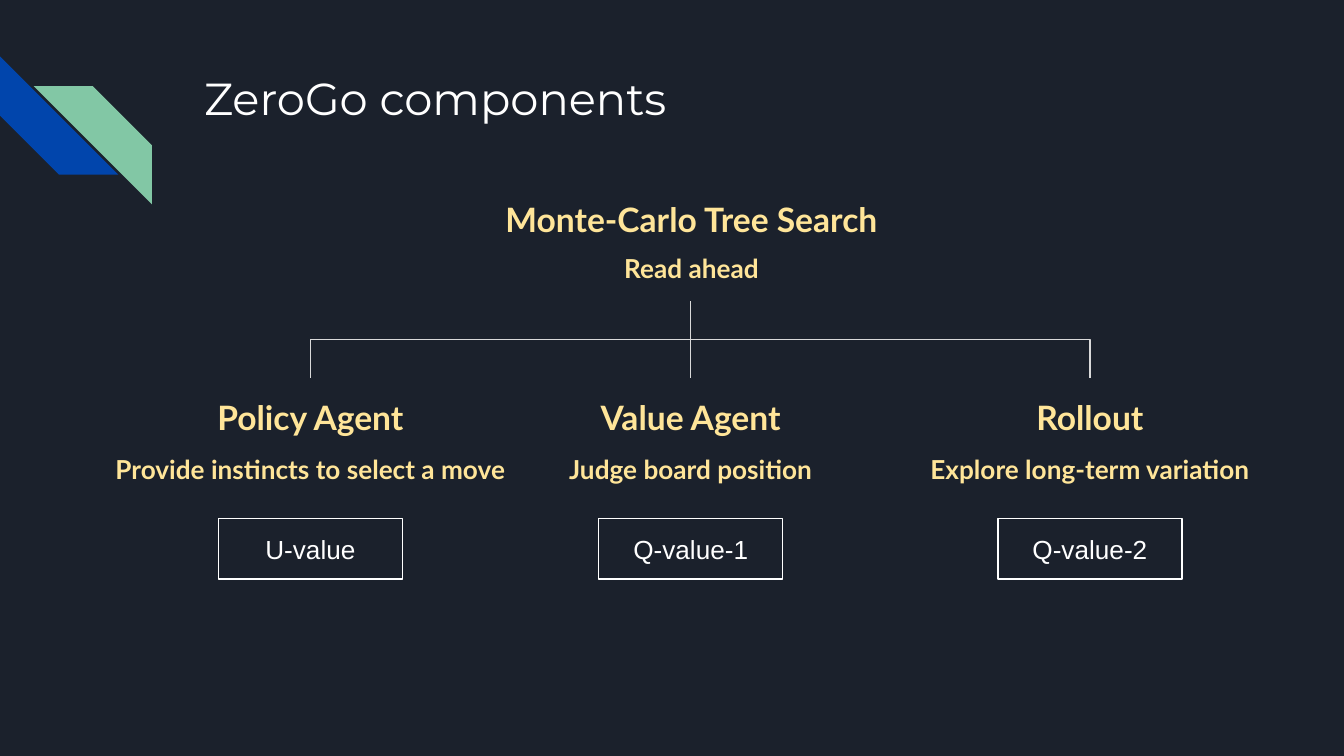
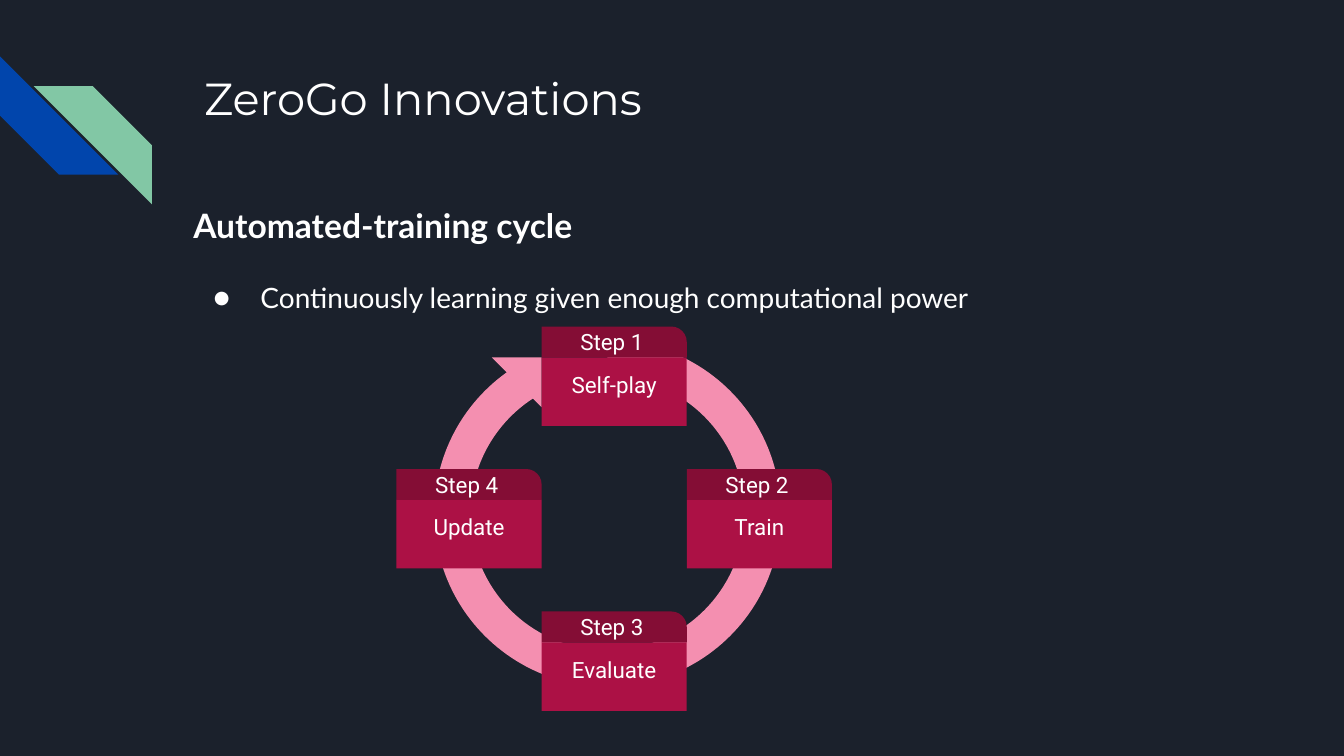
import pptx
import pptx.util
import pptx.dml.color
import pptx.enum.shapes
import pptx.enum.text
import pptx.oxml
import pptx.oxml.ns
from lxml import etree

Inches, Pt = pptx.util.Inches, pptx.util.Pt
qn = pptx.oxml.ns.qn
SHAPE = pptx.enum.shapes.MSO_SHAPE
ELBOW = pptx.enum.shapes.MSO_CONNECTOR.ELBOW
ALIGN = pptx.enum.text.PP_ALIGN
ANCHOR = pptx.enum.text.MSO_ANCHOR

# Shared look
COLORS = {
    "background": "1B212C", "white": "FFFFFF", "heading": "FFE599",
    "branch": "D9D9D9", "blue": "0145AC", "green": "82C7A5",
    "ring": "F48FB0", "card": "AC1145", "tab": "840D35",
}
SLIDE_W = Inches(10)
SLIDE_H = SLIDE_W * 9 // 16

# Content: the component tree
COMPONENTS_TITLE = "ZeroGo components"
SEARCH = ("Monte-Carlo Tree Search", "Read ahead")
SEARCH_BOX = (2.9, 1.51, 4.49, 0.73)
AGENTS = [  # name, role, output, centre, text width, text height
    ("Policy Agent", "Provide instincts to select a move", "U-value", 2.31, 3.48, 1.5),
    ("Value Agent", "Judge board position", "Q-value-1", 5.14, 2.26, 1.15),
    ("Rollout", "Explore long-term variation", "Q-value-2", 8.11, 3.77, 1.37),
]
AGENT_TOP, OUTPUT_TOP = 2.81, 3.86
OUTPUT_W, OUTPUT_H = 1.37, 0.45

# Content: the training cycle
INNOVATIONS_TITLE = "ZeroGo Innovations"
CYCLE_HEADING = "Automated-training cycle"
CYCLE_POINT = "Continuously learning given enough computational power"
STEPS = [  # name, column and row offset from the cycle's centre
    ("Self-play", 0, -1), ("Train", 1, 0), ("Evaluate", 0, 1), ("Update", -1, 0),
]
CYCLE_LEFT, CYCLE_TOP = 4.03, 3.49
STEP_W, TAB_H, CARD_H, ROW_PITCH = 1.08, 0.23, 0.51, 1.06


def rgb(name):
    return pptx.dml.color.RGBColor.from_string(COLORS[name])


def write(frame, text, size=14, font="Lato", color="white", bold=False,
          align=ALIGN.LEFT, spacing=None, before=None, after=None, bullet=None):
    """Add one formatted paragraph to a text frame."""
    paragraph = frame.paragraphs[0] if not frame.text else frame.add_paragraph()
    if bullet:
        props = paragraph._p.get_or_add_pPr()
        props.set("marL", str(Inches(0.5)))
        props.set("indent", str(Inches(-0.35)))
        tint = etree.SubElement(props, qn("a:buClr"))
        etree.SubElement(tint, qn("a:srgbClr"), val=COLORS[color])
        etree.SubElement(props, qn("a:buFont"), typeface=font)
        etree.SubElement(props, qn("a:buChar"), char=bullet)
    paragraph.alignment = align
    if spacing:
        paragraph.line_spacing = spacing
    if before is not None:
        paragraph.space_before = Pt(before)
    if after is not None:
        paragraph.space_after = Pt(after)
    run = paragraph.add_run()
    run.text = text
    run.font.size, run.font.name, run.font.bold = Pt(size), font, bold
    run.font.color.rgb = rgb(color)


def pad(frame, anchor):
    frame.word_wrap = True
    frame.vertical_anchor = anchor
    frame.margin_left = frame.margin_right = Inches(0.1)
    frame.margin_top = frame.margin_bottom = Inches(0.1)
    return frame


def add_text(slide, *box):
    area = slide.shapes.add_textbox(*map(Inches, box))
    return pad(area.text_frame, ANCHOR.TOP)


def add_shape(shapes, kind, box, fill=None, line=None, rotation=0, adjust=(),
              anchor=ANCHOR.MIDDLE):
    shape = shapes.add_shape(kind, *map(Inches, box))
    shape.shadow.inherit = False
    shape.rotation = rotation
    for index, value in enumerate(adjust):
        shape.adjustments[index] = value
    if fill:
        shape.fill.solid()
        shape.fill.fore_color.rgb = rgb(fill)
    else:
        shape.fill.background()
    if line:
        shape.line.color.rgb = rgb(line)
        shape.line.width = Pt(0.75)
    else:
        shape.line.fill.background()
    return pad(shape.text_frame, anchor)


def add_slide(deck, title, width, height):
    slide = deck.slides.add_slide(deck.slide_layouts[6])
    slide.background.fill.solid()
    slide.background.fill.fore_color.rgb = rgb("background")
    stripes = slide.shapes.add_group_shape().shapes
    add_shape(stripes, SHAPE.DIAGONAL_STRIPE, (0, 0.42, 0.88, 0.88), "blue", rotation=270)
    add_shape(stripes, SHAPE.DIAGONAL_STRIPE, (0.25, 0.64, 0.88, 0.88), "green", rotation=90)
    write(add_text(slide, 1.42, 0.43, width, height), title, 24, "Montserrat")
    return slide


def write_component(frame, name, role, spacing):
    style = dict(color="heading", bold=True, align=ALIGN.CENTER)
    write(frame, name, 18, spacing=spacing, **style)
    write(frame, role, spacing=0.5, before=16, after=16, **style)


def add_branch(slide, x, bottom, root_x, root_y):
    """Elbow from (x, bottom) up to the root, turned so it leaves vertically."""
    middle_x, middle_y = (x + root_x) / 2, (bottom + root_y) / 2
    half_drop, half_span = (bottom - root_y) / 2, (x - root_x) / 2
    branch = slide.shapes.add_connector(
        ELBOW, Inches(middle_x - half_drop), Inches(middle_y + half_span),
        Inches(middle_x + half_drop), Inches(middle_y - half_span))
    branch.line.color.rgb = rgb("branch")
    branch.line.width = Pt(0.75)
    props = branch._element.spPr
    props.find(qn("a:xfrm")).set("rot", str(270 * 60000))
    etree.SubElement(props, qn("a:effectLst"))


def build_components(deck):
    slide = add_slide(deck, COMPONENTS_TITLE, 7.7, 1)
    left, top, width, height = SEARCH_BOX
    write_component(add_text(slide, *SEARCH_BOX), *SEARCH, spacing=0.5)
    for name, role, output, center, text_w, text_h in AGENTS:
        frame = add_text(slide, center - text_w / 2, AGENT_TOP, text_w, text_h)
        write_component(frame, name, role, spacing=1.15)
        add_branch(slide, center, AGENT_TOP, AGENTS[1][3], top + height)
        box = (center - OUTPUT_W / 2, OUTPUT_TOP, OUTPUT_W, OUTPUT_H)
        write(add_shape(slide.shapes, SHAPE.RECTANGLE, box, line="white"),
              output, font="Arial", align=ALIGN.CENTER)


def build_innovations(deck):
    slide = add_slide(deck, INNOVATIONS_TITLE, 4.88, 0.86)
    body = add_text(slide, 1.34, 1.38, 7.7, 3.18)
    write(body, CYCLE_HEADING, 18, bold=True, spacing=1.15)
    write(body, CYCLE_POINT, 15, spacing=1.15, before=16, bullet="●")

    # Ring with its arrowhead
    ring = slide.shapes.add_group_shape().shapes
    add_shape(ring, SHAPE.BLOCK_ARC, (3.23, 2.53, 2.58, 2.58), "ring",
              rotation=180, adjust=(54, 36.24, 0.105))
    add_shape(ring, SHAPE.RIGHT_TRIANGLE, (3.66, 2.66, 0.37, 0.37), "ring", rotation=180)

    # Step cards around the ring
    label = dict(size=12, font="Roboto", align=ALIGN.CENTER)
    for number, (name, column, row) in enumerate(STEPS, 1):
        left, top = CYCLE_LEFT + column * STEP_W, CYCLE_TOP + row * ROW_PITCH
        step = slide.shapes.add_group_shape().shapes
        write(add_shape(step, SHAPE.RECTANGLE, (left, top + TAB_H, STEP_W, CARD_H),
                        "card", anchor=ANCHOR.TOP), name, **label)
        write(add_shape(step, SHAPE.ROUND_1_RECTANGLE, (left, top, STEP_W, TAB_H),
                        "tab", adjust=(0.5,)), f"Step {number}", **label)


def main():
    deck = pptx.Presentation()
    deck.slide_width, deck.slide_height = SLIDE_W, SLIDE_H
    build_components(deck)
    build_innovations(deck)
    deck.save("out.pptx")


if __name__ == "__main__":
    main()
